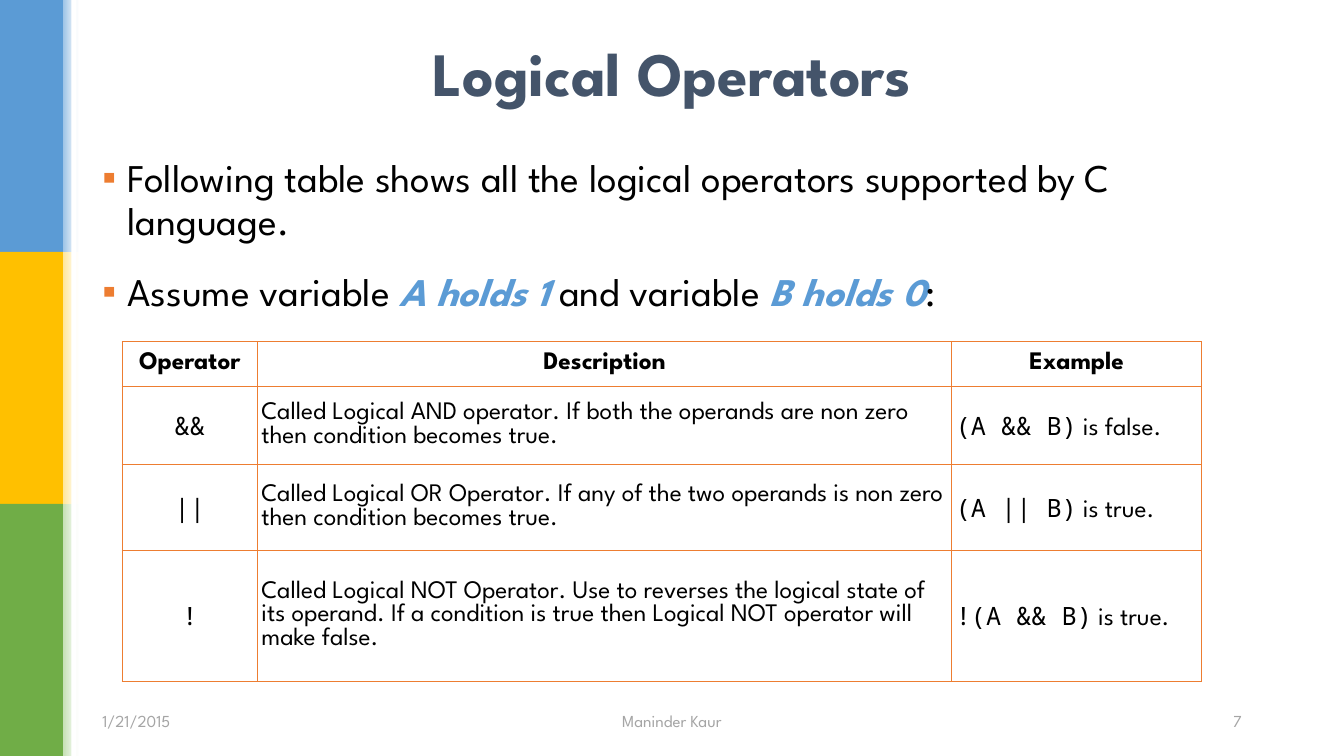
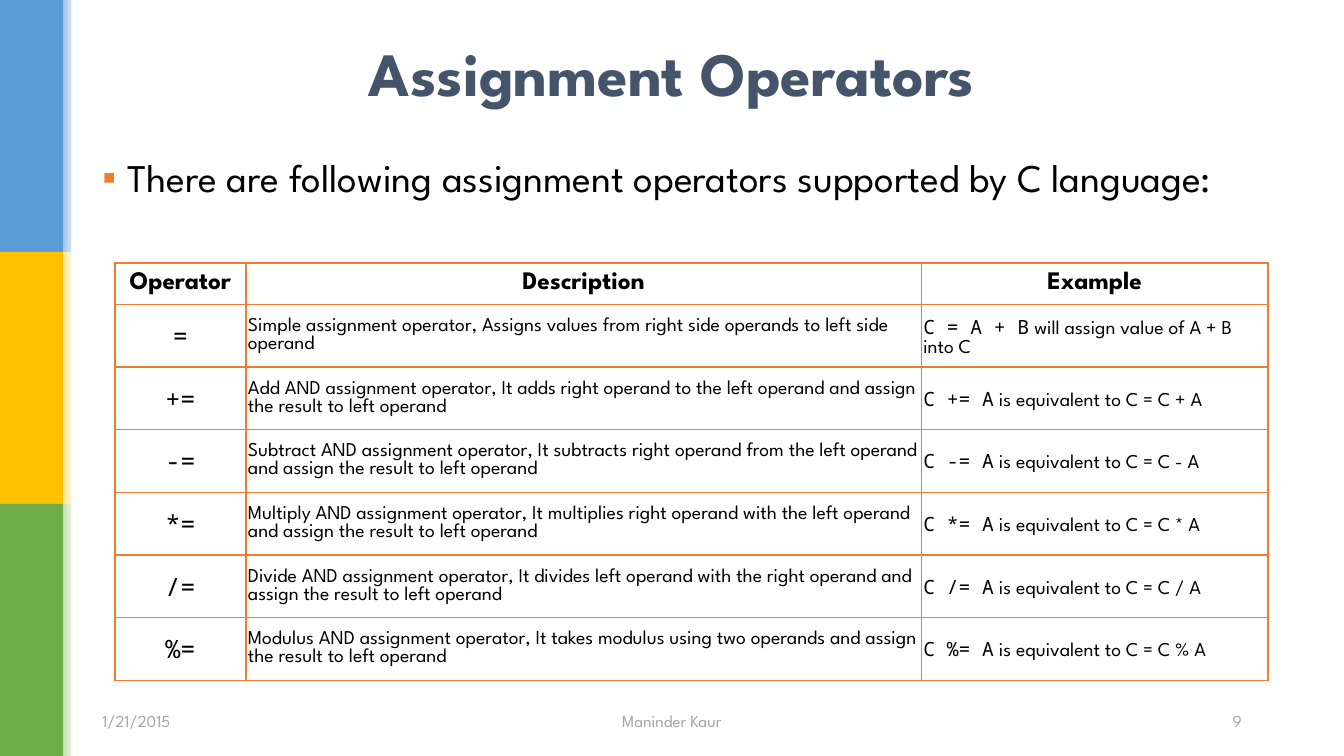
from lxml.etree import SubElement
from pptx import Presentation
from pptx.dml.color import RGBColor
from pptx.enum.shapes import MSO_SHAPE
from pptx.enum.text import MSO_ANCHOR, PP_ALIGN
from pptx.oxml.ns import qn
from pptx.util import Inches, Pt

COLOURS = {
    "blue": "5B9BD5", "gold": "FFC000", "green": "70AD47",
    "pale_blue": "9DC3E6", "pale_gold": "FFE699", "pale_green": "C5E0B4",
    "white": "FFFFFF", "black": "000000", "slate": "44546A",
    "orange": "ED7D31", "grey": "A5A5A5",
}
SANS, MONO = "League Spartan", "Noto Sans Mono"
LEFT, CENTER, RIGHT = PP_ALIGN.LEFT, PP_ALIGN.CENTER, PP_ALIGN.RIGHT
BANDS = [("blue", "pale_blue"), ("gold", "pale_gold"), ("green", "pale_green")]
FORMATS = {
    "title": {"size": Pt(44), "bold": True, "colour": "slate"},
    "body": {"size": Pt(28)},
    "accent": {"size": Pt(28), "bold": True, "italic": True, "colour": "blue"},
    "footer": {"size": Pt(12), "colour": "grey"},
    "header": {"size": Pt(18), "bold": True},
    "cell": {"size": Pt(18)},
    "code": {"size": Pt(18), "name": MONO},
    "small_cell": {"size": Pt(14)},
    "small_code": {"size": Pt(14), "name": MONO},
}
HEADINGS = ["Operator", "Description", "Example"]
MARGIN, CONTENT_WIDTH = 6.88, 86.25
FOOTER_TOP, FOOTER_HEIGHT = 92.67, 5.33


def colour(name):
    """Return a named colour of the palette."""
    return RGBColor.from_string(COLOURS[name])


def apply(target, values):
    """Set each attribute of the target from a dict."""
    for name, value in values.items():
        setattr(target, name, value)


def write(para, spans, align=LEFT):
    """Fill a paragraph with (text, format name) spans."""
    para.alignment = align
    for text, style in spans:
        span = para.add_run()
        span.text = text
        values = {"name": SANS, "bold": False, "colour": "black", **FORMATS[style]}
        span.font.color.rgb = colour(values.pop("colour"))
        apply(span.font, values)


def add_bullet(para):
    """Give a paragraph a hanging square bullet."""
    properties = para._p.get_or_add_pPr()
    properties.set("marL", str(Inches(0.25)))
    properties.set("indent", str(-Inches(0.25)))
    tint = SubElement(properties, qn("a:buClr"))
    SubElement(tint, qn("a:srgbClr")).set("val", COLOURS["orange"])
    SubElement(properties, qn("a:buFont")).set("typeface", "Arial")
    SubElement(properties, qn("a:buChar")).set("char", "▪")


def add_borders(cell):
    """Draw a one point orange line on every side of a cell."""
    properties = cell._tc.get_or_add_tcPr()
    for index, side in enumerate(["lnL", "lnR", "lnT", "lnB"]):
        line = properties.makeelement(qn(f"a:{side}"), {"w": str(Pt(1))})
        fill = SubElement(line, qn("a:solidFill"))
        SubElement(fill, qn("a:srgbClr")).set("val", COLOURS["orange"])
        properties.insert(index, line)


class Slides:
    """The deck's style and its current page; lengths are percent of the slide."""

    def __init__(self):
        """Start a wide deck."""
        self.deck = Presentation()
        apply(self.deck, {"slide_width": Inches(13.33), "slide_height": Inches(7.5)})
        self.page = None

    def across(self, share):
        """Turn a share of the width into a length."""
        return round(self.deck.slide_width * share / 100)

    def down(self, share):
        """Turn a share of the height into a length."""
        return round(self.deck.slide_height * share / 100)

    def area(self, left, top, width, height):
        """Turn four shares into a position and a size."""
        return self.across(left), self.down(top), self.across(width), self.down(height)

    def add_page(self, title, number):
        """Add a page with its bands, title and footers."""
        self.page = self.deck.slides.add_slide(self.deck.slide_layouts[6])
        self.add_bands()
        self.add_text((MARGIN, 2.22, CONTENT_WIDTH, 14.5), title, "title", CENTER)
        for left, width, text, align in [
            (MARGIN, 26.88, "1/21/2015", LEFT),
            (38.12, 23.75, "Maninder Kaur", CENTER),
            (66.25, 26.88, number, RIGHT),
        ]:
            place = (left, FOOTER_TOP, width, FOOTER_HEIGHT)
            self.add_text(place, text, "footer", align)

    def add_bar(self, place, name, fade=False):
        """Add a plain rectangle, or one that fades to white."""
        bar = self.page.shapes.add_shape(MSO_SHAPE.RECTANGLE, *self.area(*place))
        bar.shadow.inherit = False
        bar.line.fill.background()
        if fade:
            bar.fill.gradient()
            bar.fill.gradient_angle = 0
            for stop, tint in zip(bar.fill.gradient_stops, [name, "white"]):
                stop.color.rgb = colour(tint)
        else:
            bar.fill.solid()
            bar.fill.fore_color.rgb = colour(name)

    def add_bands(self):
        """Stack the coloured bands and their fading edges on the left."""
        height = 100 / len(BANDS)
        for index, (strong, pale) in enumerate(BANDS):
            self.add_bar((0, index * height, 4.69, height), strong)
            self.add_bar((4.69, index * height, 1.17, height), pale, fade=True)
        self.add_bar((5.32, 0, 0.38, 100), "white")

    def add_box(self, place, anchor):
        """Add a wrapping text box and return its frame."""
        frame = self.page.shapes.add_textbox(*self.area(*place)).text_frame
        apply(frame, {"word_wrap": True, "vertical_anchor": anchor})
        return frame

    def add_text(self, place, text, style, align):
        """Add one line of text, centred vertically."""
        frame = self.add_box(place, MSO_ANCHOR.MIDDLE)
        write(frame.paragraphs[0], [(text, style)], align)

    def add_bullets(self, items):
        """Add the bulleted body, one list of spans per item."""
        frame = self.add_box((MARGIN, 20.13, CONTENT_WIDTH, 70), MSO_ANCHOR.TOP)
        for index, spans in enumerate(items):
            para = frame.add_paragraph() if index else frame.paragraphs[0]
            apply(para, {
                "line_spacing": Pt(30.8),
                "space_before": Pt(8 if index else 0),
                "space_after": Pt(12),
            })
            add_bullet(para)
            write(para, spans)

    def add_table(self, corner, widths, heights, rows, inset, prefix=""):
        """Add a bordered table of operator, description, code and remark."""
        place = self.area(*corner, sum(widths), sum(heights))
        table = self.page.shapes.add_table(len(heights), len(widths), *place).table
        apply(table, {"first_row": False, "horz_banding": False})
        for column, width in zip(table.columns, widths):
            column.width = self.across(width)
        for row, height in zip(table.rows, heights):
            row.height = self.down(height)
        lines = [[([(text, "header")], CENTER) for text in HEADINGS]]
        for operator, description, code, remark in rows:
            example = [(code, prefix + "code"), (remark, prefix + "cell")]
            lines.append([
                ([(operator, "code")], CENTER),
                ([(description, prefix + "cell")], LEFT),
                (example, LEFT),
            ])
        sides = ["left", "right", "top", "bottom"]
        margins = {f"margin_{side}": Inches(inset) for side in sides}
        for row, line in zip(table.rows, lines):
            for cell, (spans, align) in zip(row.cells, line):
                apply(cell, {"vertical_anchor": MSO_ANCHOR.MIDDLE, **margins})
                cell.fill.background()
                add_borders(cell)
                write(cell.text_frame.paragraphs[0], spans, align)


LOGICAL = [
    ("&&", "Called Logical AND operator. If both the operands are non zero "
     "then condition becomes true.", "(A && B)", " is false."),
    ("||", "Called Logical OR Operator. If any of the two operands is non zero "
     "then condition becomes true.", "(A || B)", " is true."),
    ("!", "Called Logical NOT Operator. Use to reverses the logical state of its "
     "operand. If a condition is true then Logical NOT operator will make false.",
     "!(A && B)", " is true."),
]
COMPOUND = [
    ("+", "Add", "adds right operand to the left operand and assign the result"),
    ("-", "Subtract",
     "subtracts right operand from the left operand and assign the result"),
    ("*", "Multiply",
     "multiplies right operand with the left operand and assign the result"),
    ("/", "Divide",
     "divides left operand with the right operand and assign the result"),
    ("%", "Modulus", "takes modulus using two operands and assign the result"),
]
ASSIGNMENT = [
    ("=", "Simple assignment operator, Assigns values from right side operands "
     "to left side operand", "C = A + B", " will assign value of A + B into C"),
] + [
    (f"{sign}=", f"{name} AND assignment operator, It {action} to left operand",
     f"C {sign}= A", f" is equivalent to C = C {sign} A")
    for sign, name, action in COMPOUND
]


def main():
    """Build both pages and save the deck."""
    slides = Slides()
    slides.add_page("Logical Operators", "7")
    slides.add_bullets([
        [("Following table shows all the logical operators supported by C language.",
          "body")],
        [("Assume variable\u00a0", "body"), ("A\u00a0holds 1", "accent"),
         (" and variable\u00a0", "body"), ("B\u00a0holds 0", "accent"),
         (":", "body")],
    ])
    slides.add_table((9.1, 45.2), [10.05, 51.67, 18.6],
                     [5.87, 10.4, 11.33, 17.33], LOGICAL, 0.04)
    slides.add_page("Assignment Operators", "9")
    slides.add_bullets([
        [("There are following assignment operators supported by C language:",
          "body")],
    ])
    slides.add_table((8.55, 34.8), [9.75, 50.25, 25.8],
                     [5.47] + [8.29] * len(ASSIGNMENT), ASSIGNMENT, 0.02, "small_")
    slides.deck.save("out.pptx")


main()
